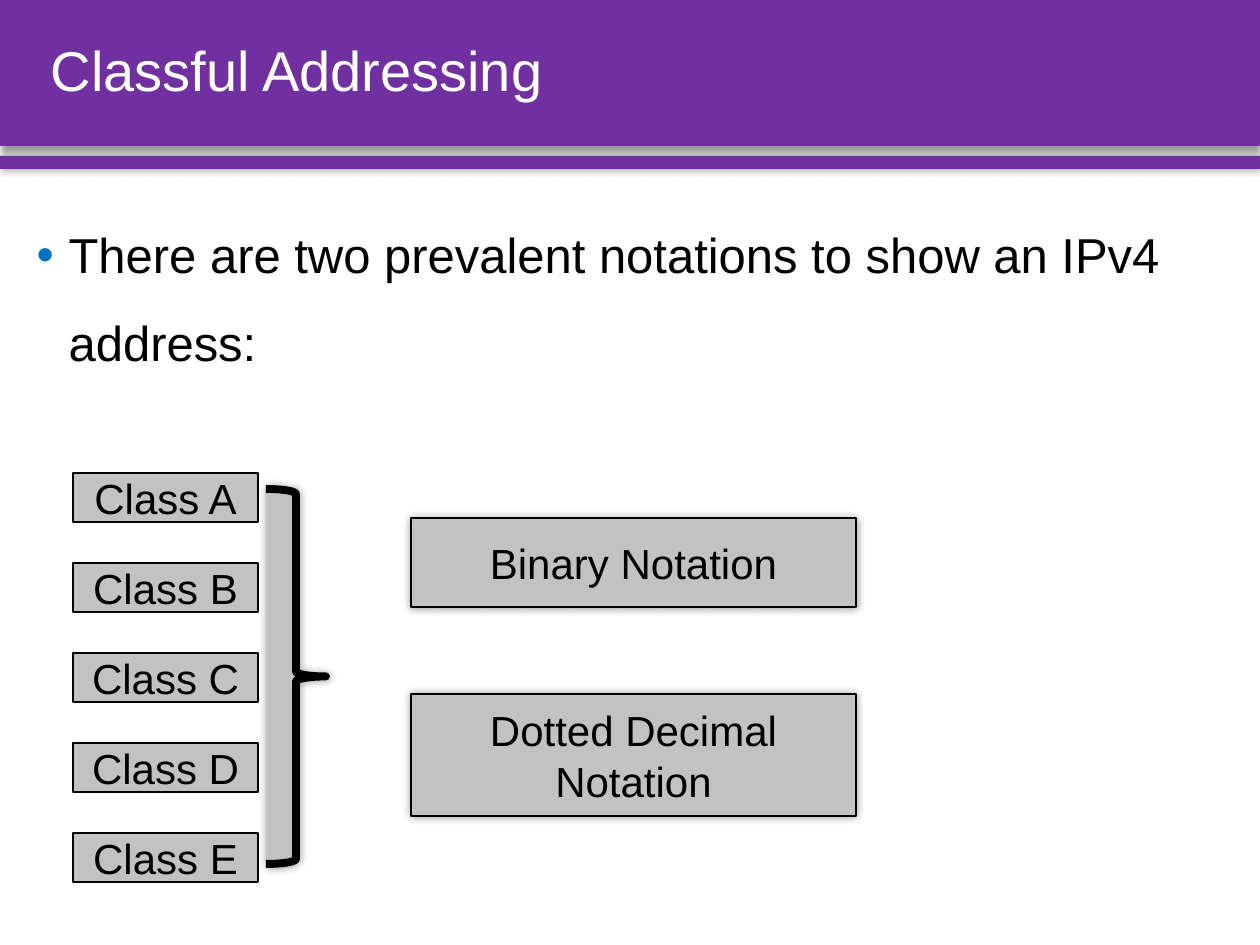
from typing import NamedTuple

from lxml.etree import SubElement
from pptx import Presentation
from pptx.dml.color import RGBColor
from pptx.enum.shapes import MSO_SHAPE
from pptx.enum.text import MSO_ANCHOR, MSO_AUTO_SIZE, PP_ALIGN
from pptx.oxml.ns import qn
from pptx.util import Emu, Pt

PX = 914400 / 126
COLORS = {
    "purple": "7030A0",
    "grey": "C2C2C2",
    "black": "000000",
    "white": "FFFFFF",
    "bullet": "0070C0",
}


class Box(NamedTuple):
    left: int
    top: int
    width: int
    height: int


class Shadow(NamedTuple):
    blur: int
    distance: int = 0
    direction: int = 0


class Label(NamedTuple):
    text: str
    box: Box
    shadow: Shadow | None = None


GLOW = Shadow(blur=5)
PAGE = Box(0, 0, 1260, 945)
TITLE = Box(38, 0, 1192, 146)
BODY = Box(24, 189, 1206, 722)
BRACE = Box(266, 489, 60, 375)
BARS = [
    (Box(0, 0, PAGE.width, 146), Shadow(blur=4, distance=3, direction=90)),
    (Box(0, 156, PAGE.width, 13), GLOW),
]
CLASS_TOP, CLASS_STEP = 473, 90
CLASSES = [
    Label(f"Class {letter}", Box(73, CLASS_TOP + row * CLASS_STEP, 185, 49))
    for row, letter in enumerate("ABCDE")
]
NOTATIONS = [
    Label("Binary Notation", Box(411, 518, 445, 89), GLOW),
    Label("Dotted Decimal Notation", Box(411, 694, 445, 122), GLOW),
]


def px(length: int) -> Emu:
    return Emu(round(length * PX))


def color(name: str) -> RGBColor:
    return RGBColor.from_string(COLORS[name])


def place(shape, box: Box) -> None:
    shape.left, shape.top, shape.width, shape.height = map(px, box)


def add_shadow(shape, shadow: Shadow) -> None:
    effects = shape._element.spPr.find(qn("a:effectLst"))
    outer = SubElement(
        effects, qn("a:outerShdw"),
        blurRad=str(Pt(shadow.blur)), dist=str(Pt(shadow.distance)),
        dir=str(shadow.direction * 60000), algn="ctr", rotWithShape="0",
    )
    shade = SubElement(outer, qn("a:srgbClr"), val=COLORS["black"])
    SubElement(shade, qn("a:alpha"), val="40000")


def add_shape(page, kind: MSO_SHAPE, box: Box, *, fill: str,
              line_width: float = 0, shadow: Shadow | None = None):
    shape = page.shapes.add_shape(kind, *map(px, box))
    shape.fill.solid()
    shape.fill.fore_color.rgb = color(fill)
    if line_width:
        shape.line.color.rgb = color("black")
        shape.line.width = Pt(line_width)
    else:
        shape.line.fill.background()
    shape.shadow.inherit = False
    if shadow:
        add_shadow(shape, shadow)
    return shape


def write(shape, text: str, *, size: int, ink: str = "black",
          align: PP_ALIGN = PP_ALIGN.LEFT, anchor: MSO_ANCHOR = MSO_ANCHOR.MIDDLE,
          spacing: float = 1.0, bullet: str | None = None) -> None:
    frame = shape.text_frame
    frame.word_wrap = True
    frame.auto_size = MSO_AUTO_SIZE.NONE
    frame.vertical_anchor = anchor
    para = frame.paragraphs[0]
    para.alignment = align
    para.line_spacing = spacing
    para.space_before = Pt(0)
    if bullet:
        add_bullet(para, bullet)
    span = para.add_run()
    span.text = text
    span.font.name = "Arial"
    span.font.size = Pt(size)
    span.font.color.rgb = color(ink)


def add_bullet(para, mark: str) -> None:
    props = para._p.get_or_add_pPr()
    indent = px(32)
    props.set("marL", str(indent))
    props.set("indent", str(-indent))
    tint = SubElement(props, qn("a:buClr"))
    SubElement(tint, qn("a:srgbClr"), val=COLORS["bullet"])
    SubElement(props, qn("a:buFont"), typeface="Arial")
    SubElement(props, qn("a:buChar"), char=mark)


def add_label(page, label: Label) -> None:
    shape = add_shape(page, MSO_SHAPE.RECTANGLE, label.box, fill="grey",
                      line_width=1, shadow=label.shadow)
    write(shape, label.text, size=24, align=PP_ALIGN.CENTER)


def add_header_bars(page) -> None:
    """Draw the bars behind the placeholders."""
    for depth, (box, shadow) in enumerate(BARS, start=2):
        bar = add_shape(page, MSO_SHAPE.RECTANGLE, box, fill="purple", shadow=shadow)
        page.shapes._spTree.insert(depth, bar._element)


def main() -> None:
    deck = Presentation()
    deck.slide_width, deck.slide_height = px(PAGE.width), px(PAGE.height)
    page = deck.slides.add_slide(deck.slide_layouts[1])
    title, body = page.placeholders
    add_header_bars(page)

    place(title, TITLE)
    write(title, "Classful Addressing", size=32, ink="white", spacing=0.9)
    place(body, BODY)
    write(body, "There are two prevalent notations to show an IPv4 address:",
          size=28, anchor=MSO_ANCHOR.TOP, spacing=1.5, bullet="•")

    for label in CLASSES:
        add_label(page, label)
    brace = add_shape(page, MSO_SHAPE.RIGHT_BRACE, BRACE, fill="grey",
                      line_width=4.5, shadow=GLOW)
    brace.adjustments[0] = 0.083
    for label in NOTATIONS:
        add_label(page, label)
    deck.save("out.pptx")


if __name__ == "__main__":
    main()
